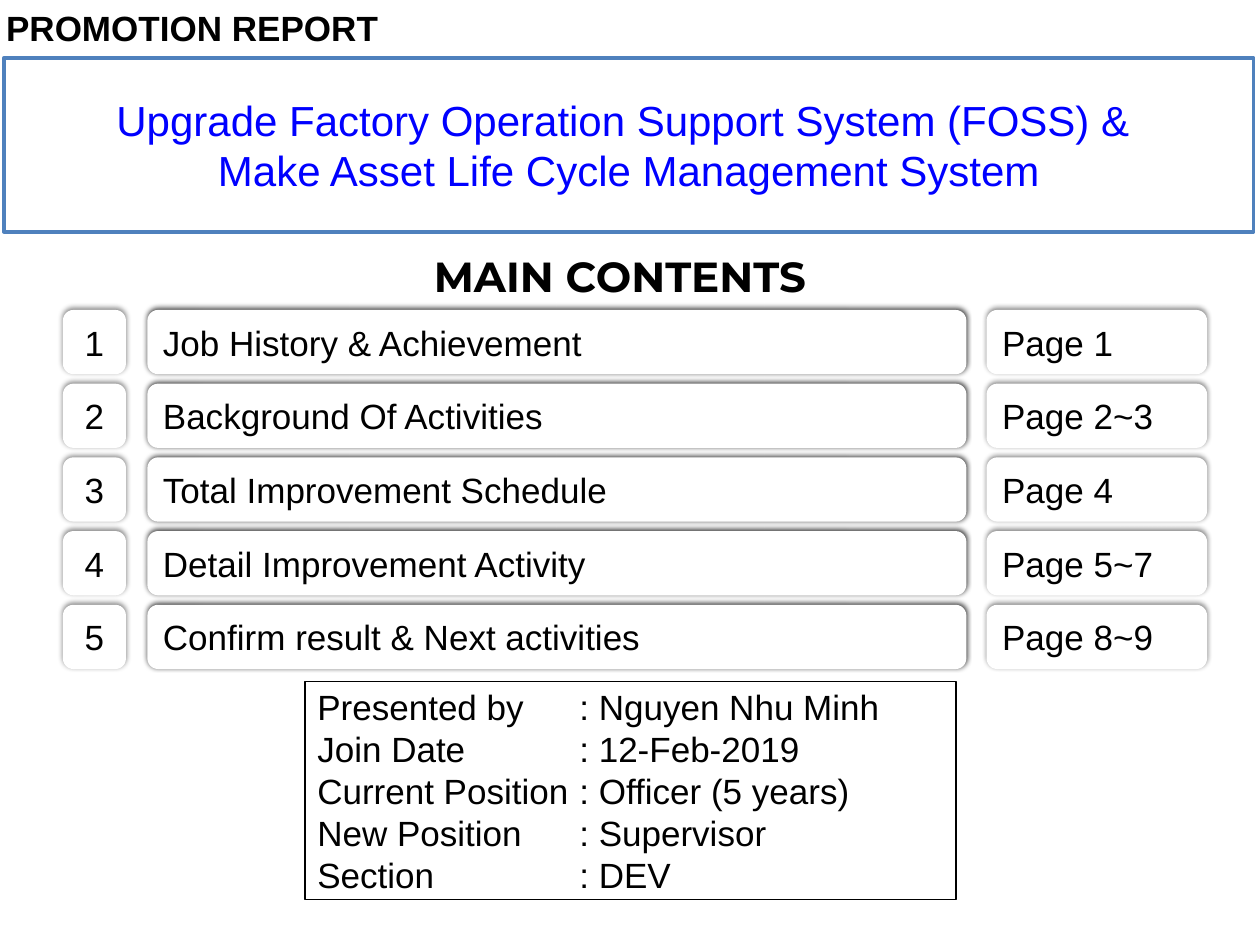
from dataclasses import dataclass

from lxml.etree import SubElement
from pptx import Presentation
from pptx.dml.color import RGBColor
from pptx.enum.shapes import MSO_SHAPE
from pptx.enum.text import MSO_ANCHOR, PP_ALIGN
from pptx.oxml.ns import qn
from pptx.util import Inches, Pt

BLACK, WHITE, TITLE_BLUE, FRAME_BLUE = "000000", "FFFFFF", "0000FF", "4F81BD"
FIRST_ROW_TOP, ROW_PITCH, ROW_HEIGHT = 2.46, 0.585, 0.51
DETAIL_TAB = 2.08


@dataclass
class TextStyle:
    size: int = 20
    font: str = "Arial"
    color: str = BLACK
    bold: bool = False
    align: PP_ALIGN = PP_ALIGN.LEFT


@dataclass
class Column:
    left: float
    width: float
    style: TextStyle
    shadow_opacity: int


@dataclass
class Section:
    number: str
    name: str
    pages: str


BODY = TextStyle()
CENTERED = TextStyle(align=PP_ALIGN.CENTER)
HEADING = TextStyle(24, "Montserrat", bold=True, align=PP_ALIGN.CENTER)
TITLE = TextStyle(24, color=TITLE_BLUE, align=PP_ALIGN.CENTER)
REPORT_LABEL = TextStyle(bold=True, align=PP_ALIGN.CENTER)

COLUMNS = [
    Column(0.5, 0.5, CENTERED, 45),
    Column(1.17, 6.5, BODY, 75),
    Column(7.83, 1.75, BODY, 45),
]
SECTIONS = [
    Section("1", "Job History & Achievement", "Page 1"),
    Section("2", "Background Of Activities", "Page 2~3"),
    Section("3", "Total Improvement Schedule", "Page 4"),
    Section("4", "Detail Improvement Activity", "Page 5~7"),
    Section("5", "Confirm result & Next activities", "Page 8~9"),
]
DETAILS = [
    "Presented by\t: Nguyen Nhu Minh",
    "Join Date\t: 12-Feb-2019",
    "Current Position\t: Officer (5 years)",
    "New Position\t: Supervisor",
    "Section\t: DEV",
]


def rgb(value: str) -> RGBColor:
    return RGBColor.from_string(value)


def write_lines(box, lines: list[str], style: TextStyle, tab: float | None = None) -> None:
    frame = box.text_frame
    frame.word_wrap = True
    for index, line in enumerate(lines):
        para = frame.paragraphs[0] if index == 0 else frame.add_paragraph()
        para.alignment = style.align
        if tab is not None:
            tab_list = SubElement(para._p.get_or_add_pPr(), qn("a:tabLst"))
            SubElement(tab_list, qn("a:tab"), pos=str(Inches(tab)), algn="l")
        span = para.add_run()
        span.text = line
        span.font.name = style.font
        span.font.size = Pt(style.size)
        span.font.bold = style.bold
        span.font.color.rgb = rgb(style.color)


def add_box(slide, kind: MSO_SHAPE, left: float, top: float, width: float, height: float,
            fill: str | None = WHITE, line: str | None = None, line_width: float = 1):
    box = slide.shapes.add_shape(
        kind, Inches(left), Inches(top), Inches(width), Inches(height))
    box.shadow.inherit = False
    if fill:
        box.fill.solid()
        box.fill.fore_color.rgb = rgb(fill)
    else:
        box.fill.background()
    if line:
        box.line.color.rgb = rgb(line)
        box.line.width = Pt(line_width)
    else:
        box.line.fill.background()
    box.text_frame.vertical_anchor = MSO_ANCHOR.MIDDLE
    return box


def add_soft_shadow(box, opacity: int) -> None:
    effects = box._element.spPr.find(qn("a:effectLst"))
    shadow = SubElement(effects, qn("a:outerShdw"), blurRad=str(Pt(3)),
                        dist=str(Pt(1)), dir="16200000", algn="ctr", rotWithShape="0")
    color = SubElement(shadow, qn("a:srgbClr"), val=BLACK)
    SubElement(color, qn("a:alpha"), val=str(opacity * 1000))


def add_section_row(slide, section: Section, top: float) -> None:
    for column, text in zip(COLUMNS, (section.number, section.name, section.pages)):
        card = add_box(slide, MSO_SHAPE.ROUNDED_RECTANGLE,
                       column.left, top, column.width, ROW_HEIGHT)
        add_soft_shadow(card, column.shadow_opacity)
        write_lines(card, [text], column.style)


def main() -> None:
    deck = Presentation()
    deck.slide_width, deck.slide_height = Inches(10), Inches(7.5)
    page = deck.slides.add_slide(deck.slide_layouts[6])

    heading = add_box(page, MSO_SHAPE.RECTANGLE, 3.42, 1.95, 3, 0.47)
    write_lines(heading, ["MAIN CONTENTS"], HEADING)
    heading.text_frame.word_wrap = False

    for index, section in enumerate(SECTIONS):
        add_section_row(page, section, FIRST_ROW_TOP + index * ROW_PITCH)

    presenter = add_box(page, MSO_SHAPE.RECTANGLE, 2.42, 5.41, 5.17, 1.73,
                        fill=None, line=BLACK)
    write_lines(presenter, DETAILS, BODY, tab=DETAIL_TAB)

    title = add_box(page, MSO_SHAPE.RECTANGLE, 0.03, 0.46, 9.92, 1.38,
                    line=FRAME_BLUE, line_width=2)
    write_lines(title, ["Upgrade Factory Operation Support System (FOSS) & ",
                        "Make Asset Life Cycle Management System"], TITLE)

    label = page.shapes.add_textbox(Inches(-0.17), Inches(0), Inches(3.39), Inches(0.43))
    write_lines(label, ["PROMOTION REPORT"], REPORT_LABEL)

    deck.save("out.pptx")


if __name__ == "__main__":
    main()
